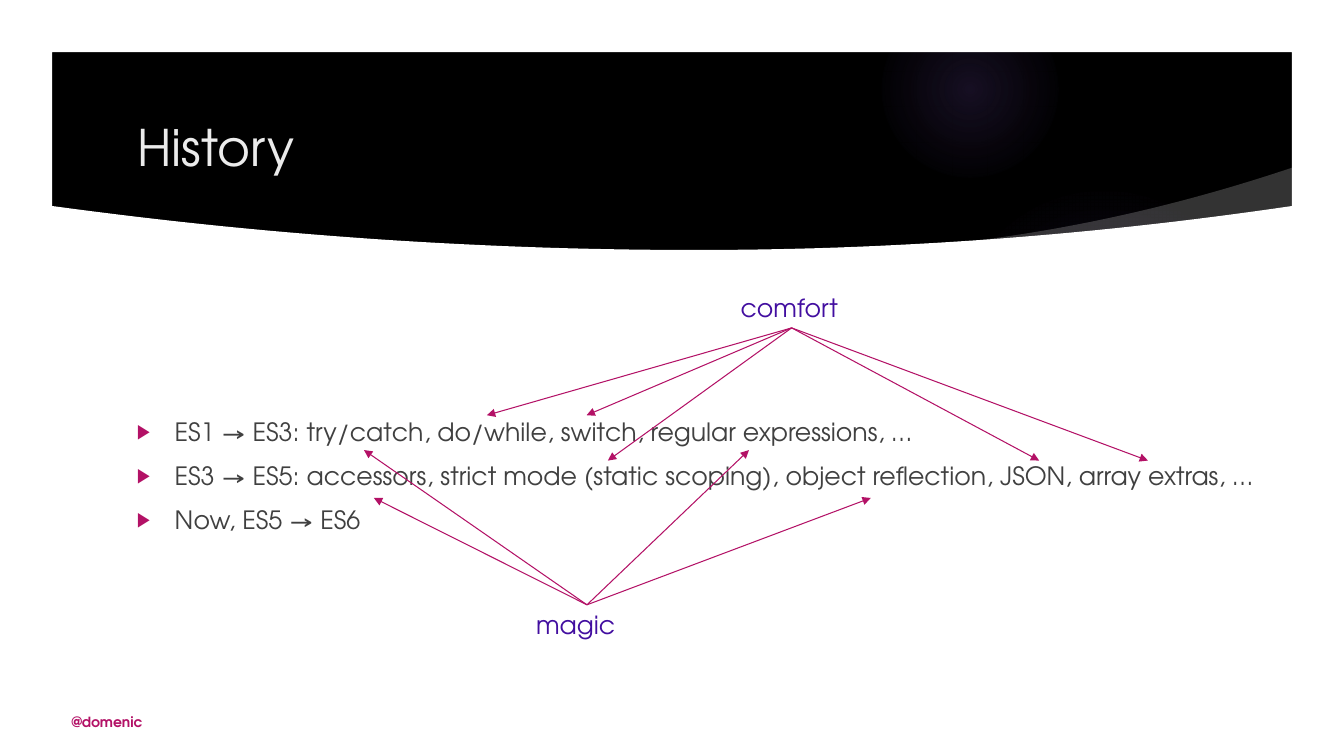
from lxml import etree
from pptx import Presentation
from pptx.dml.color import RGBColor
from pptx.enum.shapes import MSO_CONNECTOR, MSO_SHAPE
from pptx.enum.text import MSO_ANCHOR, PP_ALIGN
from pptx.oxml import parse_xml
from pptx.oxml.ns import nsdecls, qn
from pptx.util import Pt

STRAIGHT = MSO_CONNECTOR.STRAIGHT
ELLIPSE, FRAME = MSO_SHAPE.OVAL, MSO_SHAPE.FRAME
MIDDLE, TOP = MSO_ANCHOR.MIDDLE, MSO_ANCHOR.TOP
LEFT = PP_ALIGN.LEFT

BLACK = RGBColor(0x00, 0x00, 0x00)
WHITE = RGBColor(0xFF, 0xFF, 0xFF)
PALE = RGBColor(0xEB, 0xEB, 0xEB)
GREY = RGBColor(0x40, 0x40, 0x40)
MAGENTA = RGBColor(0xB3, 0x11, 0x66)
INDIGO = RGBColor(0x42, 0x0E, 0xA0)
VIOLET = RGBColor(0x9B, 0x6B, 0xF2)

WIDTH, HEIGHT = 960, 540
BORDER = 37.2
MARGIN = 90.7
TOP_SIDE, BOTTOM_SIDE = 0, 2

# The title band ends in an arc that is lowest at BAND_DIP
BAND_LEFT, BAND_RIGHT = 36, 924
BAND_SHOULDER = 147
BAND_DIP = (497, 178.6)
SHEEN_START, SHEEN_BEND, SHEEN_END = (669.6, 175), (796.7, 162.3), (923.8, 119.5)

HISTORY = [
    "ES1 → ES3: try/catch, do/while, switch, regular expressions, …",
    "ES3 → ES5: accessors, strict mode (static scoping), object reflection, "
    "JSON, array extras, …",
    "Now, ES5 → ES6",
]

# Heights at which arrows stop, above or below a line of the history
ABOVE_ES3, BELOW_ES3 = 296.6, 321.5
ABOVE_ES5, BELOW_ES5 = 329, 355.7
COMFORT_TARGETS = {ABOVE_ES3: [347.8, 419], ABOVE_ES5: [434.2, 742.3, 820]}
MAGIC_TARGETS = {BELOW_ES3: [260, 535], BELOW_ES5: [267.1, 622]}


def arc(start, bend, end, steps=30):
    """Return points on the parabola from start to end whose tangents meet at bend."""
    points = []
    for step in range(steps + 1):
        t = step / steps
        weights = (1 - t) ** 2, 2 * t * (1 - t), t ** 2
        points.append(tuple(
            sum(weight * value for weight, value in zip(weights, values))
            for values in zip(start, bend, end)
        ))
    return points


class SlideBuilder:
    font = "TeX Gyre Adventor"

    def __init__(self, presentation):
        self.slide = presentation.slides.add_slide(presentation.slide_layouts[5])
        self.shapes = self.slide.shapes
        background = self.slide.background.fill
        background.solid()
        background.fore_color.rgb = BLACK

    def _paint(self, shape, color, opacity=100):
        shape.shadow.inherit = False
        shape.line.fill.background()
        shape.fill.solid()
        shape.fill.fore_color.rgb = color
        if opacity < 100:
            tint = shape.fill._xPr.find(qn("a:solidFill"))[0]
            etree.SubElement(tint, qn("a:alpha"), val=str(opacity * 1000))

    def frame(self, thickness):
        border = self.shapes.add_shape(FRAME, 0, 0, Pt(WIDTH), Pt(HEIGHT))
        border.adjustments[0] = thickness / HEIGHT
        self._paint(border, WHITE)

    def outline(self, points, color, opacity=100):
        (x, y), *rest = [(Pt(px), Pt(py)) for px, py in points]
        builder = self.shapes.build_freeform(x, y)
        builder.add_line_segments(rest, close=True)
        self._paint(builder.convert_to_shape(), color, opacity)

    def glow(self, left, top, size, core, halo, reach):
        """Draw a radial glow: opacity core, then halo, clear from reach percent."""
        circle = self.shapes.add_shape(ELLIPSE, Pt(left), Pt(top), Pt(size), Pt(size))
        self._paint(circle, VIOLET)
        stops = "".join(
            f'<a:gs pos="{position * 1000}"><a:srgbClr val="{VIOLET}">'
            f'<a:alpha val="{opacity * 1000}"/></a:srgbClr></a:gs>'
            for position, opacity in [(0, core), (36, halo), (reach, 0), (100, 0)]
        )
        properties = circle._element.spPr
        properties.replace(properties.find(qn("a:solidFill")), parse_xml(
            f'<a:gradFill {nsdecls("a")} rotWithShape="1"><a:gsLst>{stops}</a:gsLst>'
            '<a:path path="circle"><a:fillToRect l="50000" t="50000" r="50000" '
            'b="50000"/></a:path></a:gradFill>'
        ))

    def _write(self, shape, lines, size, color, anchor, bold=False):
        frame = shape.text_frame
        frame.word_wrap = True
        frame.vertical_anchor = anchor
        frame.text = "\n".join(lines)
        for paragraph in frame.paragraphs:
            paragraph.alignment = LEFT
            font = paragraph.font
            font.name, font.size, font.bold = self.font, Pt(size), bold
            font.color.rgb = color

    def title(self, text, left, top, width, height):
        """Fill the title placeholder and bring it in front of the band."""
        heading = self.shapes.title
        heading.left, heading.top = Pt(left), Pt(top)
        heading.width, heading.height = Pt(width), Pt(height)
        self._write(heading, [text], 36, PALE, MIDDLE)
        self.shapes._spTree.append(heading._element)

    def text(self, lines, left, top, width, height, size, color, anchor=TOP, bold=False):
        box = self.shapes.add_textbox(Pt(left), Pt(top), Pt(width), Pt(height))
        self._write(box, lines, size, color, anchor, bold)
        return box

    def bullets(self, lines, left, top, width, height):
        body = self.text(lines, left, top, width, height, 18, GREY, MIDDLE)
        for paragraph in body.text_frame.paragraphs:
            paragraph.space_before, paragraph.space_after = Pt(3.6), Pt(6)
            properties = paragraph._p.get_or_add_pPr()
            properties.set("marL", str(Pt(27)))
            properties.set("indent", str(Pt(-27)))
            marker = parse_xml(
                f'<a:pPr {nsdecls("a")}><a:buClr><a:srgbClr val="{MAGENTA}"/></a:buClr>'
                '<a:buSzPct val="80000"/><a:buFont typeface="Arial"/>'
                '<a:buChar char="▶"/></a:pPr>'
            )
            defaults = properties.find(qn("a:defRPr"))
            for part in list(marker):
                defaults.addprevious(part)

    def arrow(self, label, side, x, y):
        """Point from the middle of a side of the label to (x, y)."""
        pointer = self.shapes.add_connector(STRAIGHT, 0, 0, Pt(x), Pt(y))
        pointer.begin_connect(label, side)
        pointer.line.color.rgb = MAGENTA
        pointer.line.width = Pt(0.75)
        etree.SubElement(pointer.line._get_or_add_ln(), qn("a:tailEnd"), type="triangle")
        etree.SubElement(pointer._element.spPr, qn("a:effectLst"))

    def callout(self, word, left, top, side, targets):
        """Write a label and point from one of its sides to each target."""
        label = self.text([word], left, top, 87, 29, 18, INDIGO)
        for y, stops in targets.items():
            for x in stops:
                self.arrow(label, side, x, y)


def draw_band(history):
    """Let the black background show as a band with a curved lower edge."""
    history.glow(677.5, 131.8, 221.8, core=7, halo=6, reach=69)
    history.glow(630, 0.7, 126, core=14, halo=7, reach=73)
    history.frame(BORDER)

    sheen_corner = (SHEEN_END[0], SHEEN_START[1])
    sheen = arc(SHEEN_START, SHEEN_BEND, SHEEN_END) + [sheen_corner]
    history.outline(sheen, WHITE, opacity=20)

    dip_x, dip_y = BAND_DIP
    edge = []
    for side in (BAND_LEFT, BAND_RIGHT):
        half = arc((side, BAND_SHOULDER), ((side + dip_x) / 2, dip_y), BAND_DIP)
        edge += half if side == BAND_LEFT else half[::-1]
    floor = HEIGHT - BORDER
    history.outline(edge + [(BAND_RIGHT, floor), (BAND_LEFT, floor)], WHITE)


def main():
    presentation = Presentation()
    presentation.slide_width, presentation.slide_height = Pt(WIDTH), Pt(HEIGHT)

    history = SlideBuilder(presentation)
    draw_band(history)
    history.title("History", MARGIN, 76.8, 694.8, 55.4)
    history.bullets(HISTORY, MARGIN, 205, 825.8, 269.3)
    history.text(["@domenic"], 44, 503.6, 303.8, 23.8, 10, MAGENTA, MIDDLE, bold=True)
    history.callout("comfort", 522, 205.2, BOTTOM_SIDE, COMFORT_TARGETS)
    history.callout("magic", 375.8, 432, TOP_SIDE, MAGIC_TARGETS)

    presentation.save("out.pptx")


if __name__ == "__main__":
    main()
